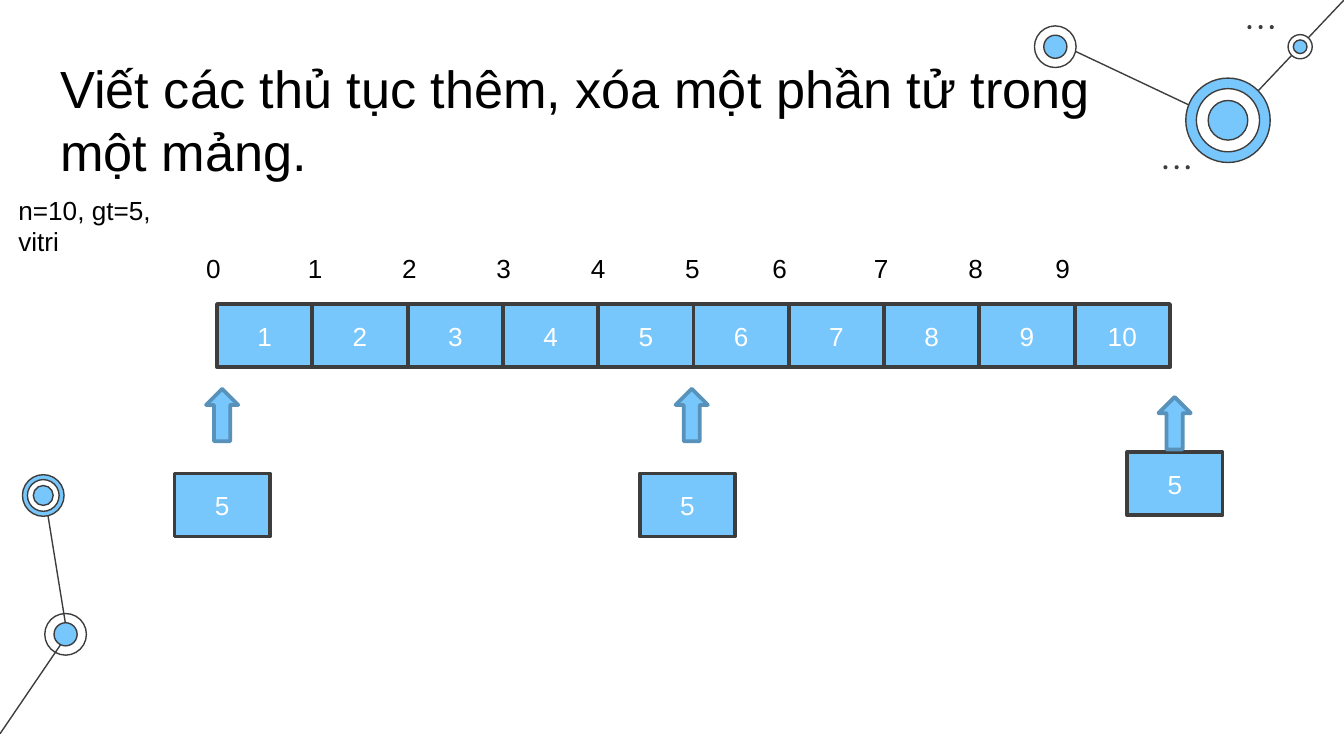
from itertools import accumulate

from lxml.etree import SubElement
from pptx import Presentation
from pptx.dml.color import RGBColor
from pptx.enum.shapes import MSO_CONNECTOR, MSO_SHAPE
from pptx.enum.text import MSO_ANCHOR, MSO_AUTO_SIZE, PP_ALIGN
from pptx.oxml.ns import qn
from pptx.util import Inches, Pt

COLORS = {"ink": "3D3D3D", "sky": "77C6FC", "edge": "5892BA",
          "white": "FFFFFF", "black": "000000"}
FONT = "Arial"
WIDTH = 10
HEIGHT = WIDTH * 9 / 16
COLUMNS = 100  # the grid is square: one row is as high as one column is wide


def grid(*units):
    """Turn grid units into slide lengths."""
    return [Inches(unit * WIDTH / COLUMNS) for unit in units]


def color(name):
    """Look up a named colour."""
    return RGBColor.from_string(COLORS[name])


def write(box, text, size=14, ink="black", align=PP_ALIGN.LEFT,
          anchor=MSO_ANCHOR.TOP, tabs=()):
    """Put formatted text in a box, with optional tab stops in grid units."""
    frame = box.text_frame
    frame.word_wrap = True
    frame.auto_size = MSO_AUTO_SIZE.NONE
    frame.vertical_anchor = anchor
    frame.margin_left = frame.margin_right = Inches(0.1)
    frame.margin_top = frame.margin_bottom = Inches(0.05)
    para = frame.paragraphs[0]
    para.alignment = align
    if tabs:
        stops = SubElement(para._p.get_or_add_pPr(), qn("a:tabLst"))
        for stop in tabs:
            SubElement(stops, qn("a:tab"), pos=str(grid(stop)[0]), algn="l")
    span = para.add_run()
    span.text = text
    span.font.name, span.font.size = FONT, Pt(size)
    span.font.color.rgb = color(ink)


class ArrayPage:
    """One slide and the style of what is drawn on it."""

    def __init__(self, deck):
        """Start a title-only slide."""
        self.page = deck.slides.add_slide(deck.slide_layouts[5])
        self.shapes = self.page.shapes

    def title(self, text, *place):
        """Move and fill the title placeholder."""
        box = self.shapes.title
        box.left, box.top, box.width, box.height = grid(*place)
        write(box, text, size=28)

    def label(self, text, *place, tabs=()):
        """Add plain text."""
        write(self.shapes.add_textbox(*grid(*place)), text, tabs=tabs)

    def shape(self, kind, *place, fill="sky", line="ink", weight=2):
        """Add a preset shape; None leaves out its fill or line."""
        shape = self.shapes.add_shape(kind, *grid(*place))
        shape.shadow.inherit = False
        for part, name in ((shape.fill, fill), (shape.line.fill, line)):
            if name:
                part.solid()
                part.fore_color.rgb = color(name)
            else:
                part.background()
        if line:
            shape.line.width = Pt(weight)
        return shape

    def cell(self, text, left, top):
        """Add one array element."""
        box = self.shape(MSO_SHAPE.RECTANGLE, left, top, 7.09, 4.7)
        write(box, text, ink="white", align=PP_ALIGN.CENTER,
              anchor=MSO_ANCHOR.MIDDLE)

    def arrow(self, left, top):
        """Add an arrow that points up at the array."""
        self.shape(MSO_SHAPE.UP_ARROW, left, top, 2.4, 3.9, line="edge")

    def link(self, *ends):
        """Join two points with a thin line."""
        line = self.shapes.add_connector(MSO_CONNECTOR.STRAIGHT, *grid(*ends))
        line.line.color.rgb = color("ink")
        line.line.width = Pt(0.75)
        SubElement(line._element.spPr, qn("a:effectLst"))

    def rings(self, x, y, *circles):
        """Stack circles, given as (diameter, fill), around one centre."""
        for size, fill in circles:
            self.shape(MSO_SHAPE.OVAL, x - size / 2, y - size / 2, size, size,
                       fill=fill, weight=0.75)

    def dots(self, left, top):
        """Add a row of three small dots."""
        for step in range(3):
            self.shape(MSO_SHAPE.OVAL, left + 0.83 * step, top, 0.3, 0.3,
                       fill="ink", line=None)


deck = Presentation()
deck.slide_width, deck.slide_height = Inches(WIDTH), Inches(HEIGHT)
board = ArrayPage(deck)

for ends in ((5, 47.2, 3.3, 36.7), (0, 54.6, 4.9, 47.4),
             (91.4, 9.2, 78.7, 3.2), (100, 0, 91.4, 9.1)):
    board.link(*ends)
board.rings(4.88, 47.2, (3.1, None), (1.72, "sky"))
board.rings(3.22, 36.87, (3.1, "sky"), (2.36, "white"), (1.48, "sky"))
board.rings(91.37, 8.95, (6.28, "sky"), (4.7, "white"), (2.95, "sky"))
board.rings(78.52, 3.48, (3.1, "white"), (1.72, "sky"))
board.rings(96.74, 3.48, (1.8, "white"), (1.02, "sky"))
board.dots(92.82, 1.87)
board.dots(86.57, 12.3)

board.title("Viết các thủ tục thêm, xóa một phần tử trong một mảng.",
            3.5, 3.7, 84, 10.4)
board.label("n=10, gt=5, vitri", 0.38, 13.94, 11.9, 5.7)

for index in range(10):
    board.cell(str(index + 1), 16.15 + 7.09 * index, 22.63)
index_gaps = (7.56, 7.02, 7.02, 7.02, 7.02, 6.48, 7.56, 7.02, 6.48)
board.label("\t".join(str(index) for index in range(10)),
            14.36, 18.3, 74.2, 3.4, tabs=list(accumulate(index_gaps)))

for cell_left, cell_top, arrow_left, arrow_top in (
        (12.98, 35.23, 15.33, 28.93), (47.6, 35.23, 50.27, 28.93),
        (83.87, 33.64, 86.2, 29.54)):
    board.cell("5", cell_left, cell_top)
    board.arrow(arrow_left, arrow_top)

deck.save("out.pptx")
